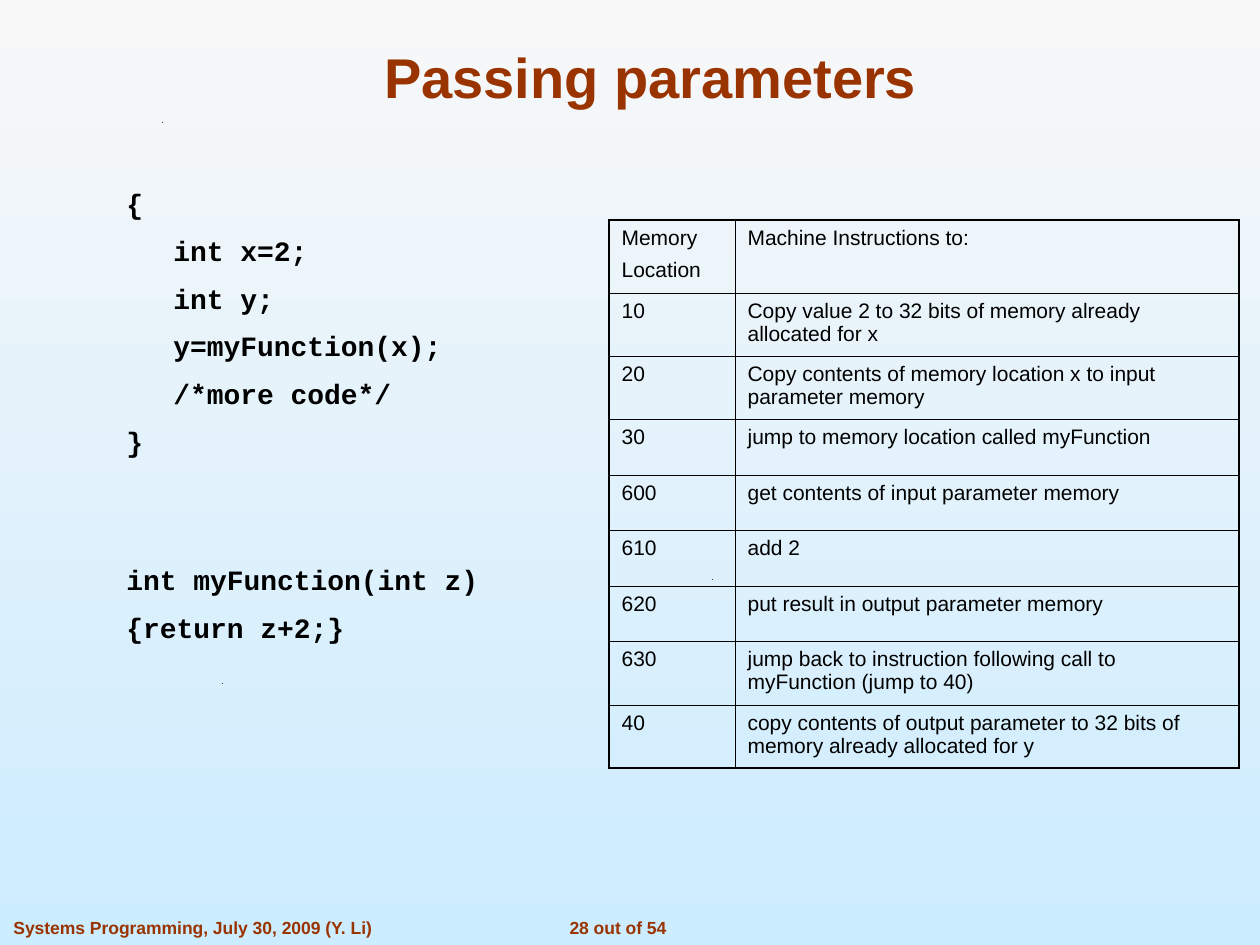
from dataclasses import dataclass

from lxml.etree import SubElement
from pptx import Presentation
from pptx.dml.color import RGBColor
from pptx.enum.text import MSO_ANCHOR, PP_ALIGN
from pptx.oxml.ns import qn
from pptx.util import Emu, Pt

SCALE = 914400 / 126


@dataclass(frozen=True)
class Theme:
    accent: RGBColor = RGBColor(0x99, 0x33, 0x00)
    ink: RGBColor = RGBColor(0x00, 0x00, 0x00)
    sky_top: RGBColor = RGBColor(0xF8, 0xF8, 0xF8)
    sky_bottom: RGBColor = RGBColor(0xCC, 0xEC, 0xFF)
    sans: str = "Arial"
    mono: str = "Courier New"
    title: int = 32
    code: int = 16
    cell: int = 12
    footer: int = 10
    outer_line: float = 1.08
    inner_line: float = 0.45


THEME = Theme()

CODE_BLOCKS = [
    ["{", "\tint x=2;", "\tint y;", "\ty=myFunction(x);", "\t/*more code*/", "}"],
    ["int myFunction(int z)", "{return z+2;}"],
]

ROWS = [
    (73, ["Memory", "Location"], "Machine Instructions to:"),
    (63, ["10"], "Copy value 2 to 32 bits of memory already allocated for x"),
    (63, ["20"], "Copy contents of memory location x to input parameter memory"),
    (56, ["30"], "jump to memory location called myFunction"),
    (55, ["600"], "get contents of input parameter memory"),
    (56, ["610"], "add 2"),
    (55, ["620"], "put result in output parameter memory"),
    (64, ["630"], "jump back to instruction following call to myFunction (jump to 40)"),
    (63, ["40"], "copy contents of output parameter to 32 bits of memory already allocated for y"),
]
COLUMNS = (126, 504)
SPECKS = [(222, 683), (164, 579), (712, 579), (162, 122)]


def px(n):
    return Emu(round(n * SCALE))


def add_run(p, text, size, color, font, bold=True):
    r = p.add_run()
    r.text = text
    r.font.size = Pt(size)
    r.font.name = font
    r.font.bold = bold
    r.font.color.rgb = color


def add_box(s, box, wrap=True):
    tf = s.shapes.add_textbox(*map(px, box)).text_frame
    tf.word_wrap = wrap
    return tf


def paint_background(s):
    fill = s.background.fill
    fill.gradient()
    fill.gradient_angle = 270
    for stop, color in zip(fill.gradient_stops, (THEME.sky_top, THEME.sky_bottom)):
        stop.color.rgb = color


def add_specks(s):
    for x, y in SPECKS:
        builder = s.shapes.build_freeform(x, y + 1, scale=SCALE)
        builder.add_line_segments([(x + 1, y), (x + 1, y + 1)], close=True)
        sp = builder.convert_to_shape()
        sp.shadow.inherit = False
        sp.fill.solid()
        sp.fill.fore_color.rgb = THEME.ink
        sp.line.fill.background()


def add_title(s, box, text):
    tf = add_box(s, box)
    tf.vertical_anchor = MSO_ANCHOR.BOTTOM
    p = tf.paragraphs[0]
    p.alignment = PP_ALIGN.CENTER
    add_run(p, text, THEME.title, THEME.accent, THEME.sans)


def add_footer(s, box, text, align):
    p = add_box(s, box, wrap=False).paragraphs[0]
    p.alignment = align
    add_run(p, text, THEME.footer, THEME.accent, THEME.sans)


def add_code(s, box, blocks):
    tf = add_box(s, box)
    for b, block in enumerate(blocks):
        for i, line in enumerate(block):
            first = b == i == 0
            p = tf.paragraphs[0] if first else tf.add_paragraph()
            pPr = p._p.get_or_add_pPr()
            pPr.set("marL", str(px(47)))
            pPr.set("indent", str(-px(47)))
            if not first:
                p.space_before = Pt(60 if i == 0 else 8)
            add_run(p, line, THEME.code, THEME.ink, THEME.mono)


def set_borders(cell, outer_sides):
    tcPr = cell._tc.get_or_add_tcPr()
    for i, side in enumerate("LRTB"):
        width = THEME.outer_line if side in outer_sides else THEME.inner_line
        ln = SubElement(tcPr, qn(f"a:ln{side}"), w=str(Pt(width)))
        fill = SubElement(ln, qn("a:solidFill"))
        SubElement(fill, qn("a:srgbClr"), val=str(THEME.ink))
        tcPr.insert(i, ln)


def add_memory_table(s, box, rows):
    table = s.shapes.add_table(len(rows), len(COLUMNS), *map(px, box)).table
    table.first_row = False
    table.horz_banding = False
    for column, width in zip(table.columns, COLUMNS):
        column.width = px(width)
    for i, (height, location, instruction) in enumerate(rows):
        table.rows[i].height = px(height)
        for j, lines in enumerate((location, [instruction])):
            cell = table.cell(i, j)
            cell.fill.background()
            outer = "LR"[j] + ("T" if i == 0 else "") + ("B" if i == len(rows) - 1 else "")
            set_borders(cell, outer)
            tf = cell.text_frame
            for k, line in enumerate(lines):
                p = tf.add_paragraph() if k else tf.paragraphs[0]
                if k:
                    p.space_before = Pt(5.2)
                add_run(p, line, THEME.cell, THEME.ink, THEME.sans, bold=False)


def main():
    prs = Presentation()
    prs.slide_width, prs.slide_height = px(1260), px(945)
    s = prs.slides.add_slide(prs.slide_layouts[6])
    paint_background(s)
    add_footer(s, (525, 911, 186, 34), "28 out of 54", PP_ALIGN.CENTER)
    add_footer(s, (1, 911, 386, 34), "Systems Programming, July 30, 2009 (Y. Li)", PP_ALIGN.LEFT)
    add_specks(s)
    add_title(s, (94, 32, 1113, 84), "Passing parameters")
    add_code(s, (114, 180, 498, 614), CODE_BLOCKS)
    add_memory_table(s, (609, 220, sum(COLUMNS), sum(row[0] for row in ROWS)), ROWS)
    prs.save("out.pptx")


if __name__ == "__main__":
    main()
